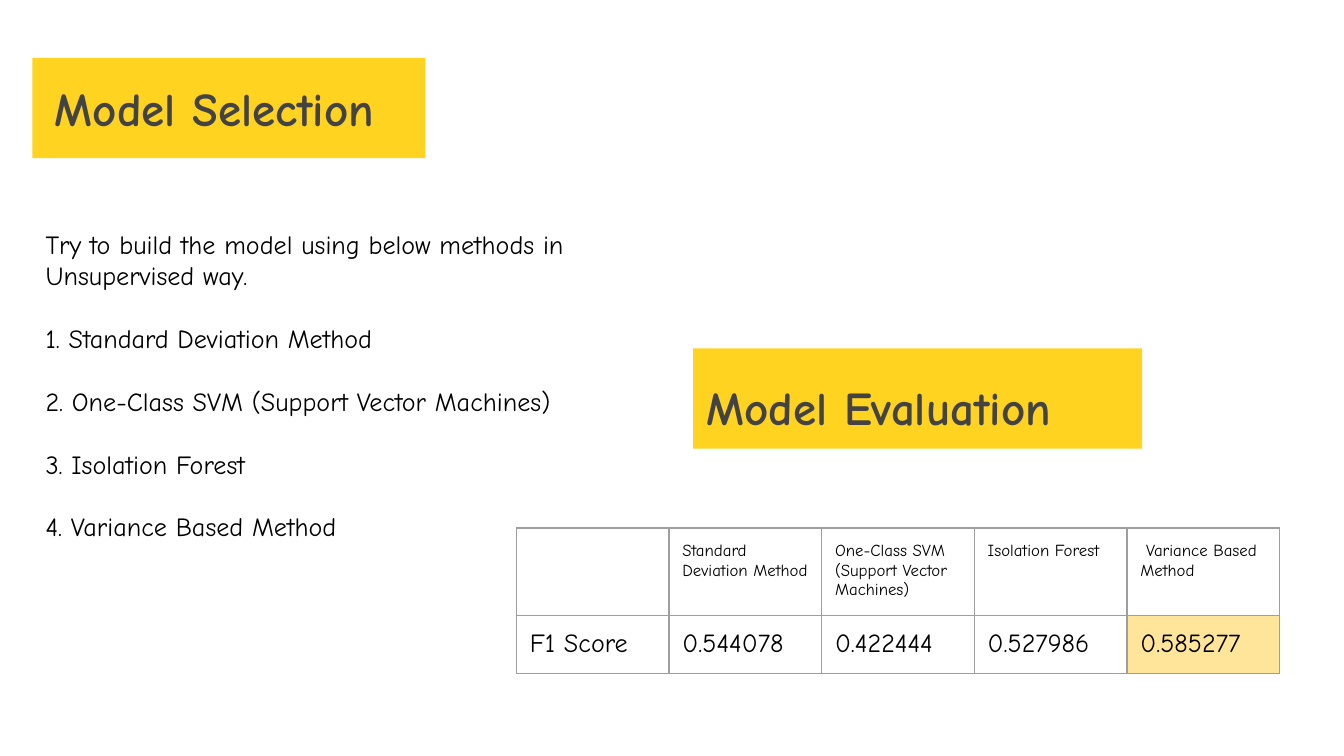
from lxml import etree
from pptx import Presentation
from pptx.dml.color import RGBColor
from pptx.enum.shapes import MSO_SHAPE
from pptx.oxml.ns import qn
from pptx.util import Pt

RECT = MSO_SHAPE.RECTANGLE
FONT = "Comic Neue"
YELLOW = RGBColor(0xFF, 0xD3, 0x1F)
HIGHLIGHT = RGBColor(0xFF, 0xE5, 0x99)
GRAY = RGBColor(0x43, 0x43, 0x43)
BLACK = RGBColor(0, 0, 0)
BORDER = RGBColor(0x9E, 0x9E, 0x9E)
INSET = Pt(7.2)

HEADINGS = [
    ("Model Selection", (17.4, 31, 210.5, 53.8), (22.3, 35.3, 464.4, 45.4)),
    ("Model Evaluation", (371.4, 186.6, 240.5, 53.8), (371.4, 195.8, 221, 45.4)),
]
METHODS = [
    "Try to build the model using below methods in Unsupervised way.",
    "1. Standard Deviation Method",
    "2. One-Class SVM (Support Vector Machines)",
    "3. Isolation Forest",
    "4. Variance Based Method",
]
SCORES = [
    ["", "Standard Deviation Method", "One-Class SVM (Support Vector Machines)",
     "Isolation Forest", " Variance Based Method"],
    ["F1 Score", "0.544078", "0.422444", "0.527986", "0.585277"],
]
BEST = (1, 4)
TABLE_LEFT, TABLE_TOP = 276.6, 282.8
COL_WIDTH = 81.8
ROWS = [(46.8, 9), (31.2, 14)]


def box(left, top, width, height):
    return Pt(left), Pt(top), Pt(width), Pt(height)


def style(tf, size, color, bold=False):
    for p in tf.paragraphs:
        for r in p.runs:
            r.font.name = FONT
            r.font.size = Pt(size)
            r.font.bold = bold
            r.font.color.rgb = color


def set_insets(target):
    target.margin_left = target.margin_right = INSET
    target.margin_top = target.margin_bottom = INSET


def add_text(s, area, lines, size, color, bold=False, gap=0):
    tf = s.shapes.add_textbox(*box(*area)).text_frame
    tf.word_wrap = True
    set_insets(tf)
    tf.text = "\n".join(lines)
    for p in tf.paragraphs[1:]:
        p.space_before = Pt(gap)
    style(tf, size, color, bold)


def add_borders(cell):
    tc_pr = cell._tc.get_or_add_tcPr()
    for i, side in enumerate(("lnL", "lnR", "lnT", "lnB")):
        ln = etree.Element(qn(f"a:{side}"), w=str(Pt(0.75)))
        fill = etree.SubElement(ln, qn("a:solidFill"))
        etree.SubElement(fill, qn("a:srgbClr"), val=str(BORDER))
        tc_pr.insert(i, ln)


def add_scores(s):
    cols = len(SCORES[0])
    area = box(TABLE_LEFT, TABLE_TOP, COL_WIDTH * cols, sum(h for h, _ in ROWS))
    table = s.shapes.add_table(len(SCORES), cols, *area).table
    table.first_row = table.horz_banding = False
    for col in table.columns:
        col.width = Pt(COL_WIDTH)
    for i, (height, size) in enumerate(ROWS):
        table.rows[i].height = Pt(height)
        for j, text in enumerate(SCORES[i]):
            cell = table.cell(i, j)
            set_insets(cell)
            cell.text_frame.text = text
            style(cell.text_frame, size, BLACK)
            if (i, j) == BEST:
                cell.fill.solid()
                cell.fill.fore_color.rgb = HIGHLIGHT
            else:
                cell.fill.background()
            add_borders(cell)


prs = Presentation()
prs.slide_width, prs.slide_height = Pt(720), Pt(405)
s = prs.slides.add_slide(prs.slide_layouts[6])

for title, band, area in HEADINGS:
    sp = s.shapes.add_shape(RECT, *box(*band))
    sp.shadow.inherit = False
    sp.fill.solid()
    sp.fill.fore_color.rgb = YELLOW
    sp.line.fill.background()
    add_text(s, area, [title], 25.2, GRAY, bold=True)

add_text(s, (17.3, 115.2, 324.7, 184.3), METHODS, 14, BLACK, gap=16.8)
add_scores(s)

prs.save("out.pptx")
